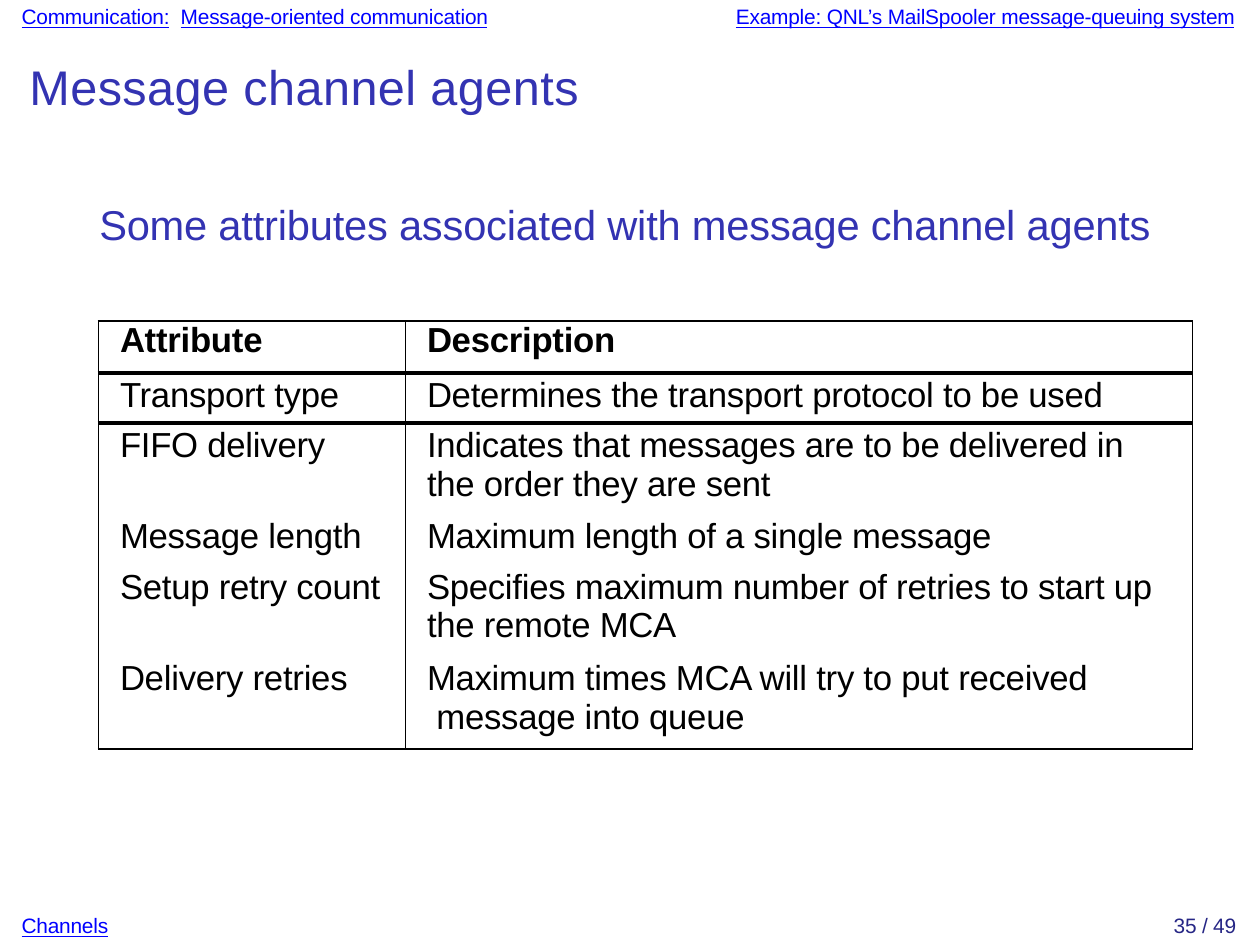
from dataclasses import dataclass

from lxml.etree import SubElement
from pptx import Presentation
from pptx.dml.color import RGBColor
from pptx.oxml.ns import qn
from pptx.util import Cm, Pt

LINK = "0000FF"
HEADING = "3333B2"
PAGE_NUMBER = "262685"
BLACK = "000000"
NO_STYLE = "{2D5ABB26-0587-4C30-8999-92F81FD0307C}"


@dataclass
class Span:
    text: str
    size: float = 6
    color: str = LINK
    underline: bool = False
    bold: bool = False
    spacing: float = -0.05


@dataclass
class Line:
    spans: list[Span]
    before: float = 0.9
    indent: float = 0


@dataclass
class Box:
    left: float
    top: float
    width: float
    height: float
    lines: list[Line]


def link(text: str) -> Span:
    return Span(text, underline=True)


BOXES = [
    Box(0.19, 0.01, 4.88, 0.33, [Line([
        link("Communication:"),
        Span(" ", color=HEADING, spacing=1.6),
        link("Message-oriented communication"),
    ])]),
    Box(7.45, 0.01, 5.16, 0.33, [Line([
        link("Example: QNL’s MailSpooler message-queuing system"),
    ])]),
    Box(0.27, 0.55, 11.6, 2, [
        Line([Span("Message channel agents", 14, HEADING, spacing=0.1)], 1.4),
        Line([Span("Some attributes associated with message channel agents",
                   12, HEADING)], 24.1, 0.71),
    ]),
    Box(0.19, 9.25, 0.97, 0.33, [Line([link("Channels")])]),
    Box(11.9, 9.25, 0.72, 0.33, [Line([Span("35 / 49", color=PAGE_NUMBER)])]),
]

ATTRIBUTES = [
    ("Attribute", "Description"),
    ("Transport type", "Determines the transport protocol to be used"),
    ("FIFO delivery",
     "Indicates that messages are to be delivered in \vthe order they are sent"),
    ("Message length", "Maximum length of a single message"),
    ("Setup retry count",
     "Specifies maximum number of retries to start up \vthe remote MCA"),
    ("Delivery retries",
     "Maximum times MCA will try to put received\v message into queue"),
]
COLUMN_WIDTHS = [3.12, 8]
ROW_HEIGHTS = [0.53, 0.51, 0.93, 0.51, 0.93, 0.94]
SPACE_BEFORE = [0.2, 0.8, 0.5, 0.5, 0.5, 0.5]
SIDE_BORDERS = {"lnL": 0.5, "lnR": 0.5}
ROW_BORDERS = {
    0: {"lnT": 0.5, "lnB": 1.5},
    1: {"lnT": 1.5, "lnB": 1.5},
    5: {"lnB": 0.5},
}


def rgb(value: str) -> RGBColor:
    return RGBColor.from_string(value)


def set_values(target, values: dict) -> None:
    for name, value in values.items():
        setattr(target, name, value)


def format_run(run, span: Span) -> None:
    set_values(run.font, {
        "name": "Arial",
        "size": Pt(span.size),
        "bold": span.bold,
        "underline": span.underline,
    })
    run.font.color.rgb = rgb(span.color)
    run._r.get_or_add_rPr().set("spc", str(round(span.spacing * 100)))


def fill_paragraph(para, line: Line) -> None:
    para.space_before = Pt(line.before)
    if line.indent:
        para._p.get_or_add_pPr().set("marL", str(Cm(line.indent)))
    for span in line.spans:
        run = para.add_run()
        run.text = span.text
        format_run(run, span)


def draw_box(page, box: Box) -> None:
    frame = page.shapes.add_textbox(
        Cm(box.left), Cm(box.top), Cm(box.width), Cm(box.height)).text_frame
    set_values(frame, {
        "word_wrap": True,
        "margin_left": Cm(0.03),
        "margin_top": Cm(0.03),
        "margin_right": 0,
        "margin_bottom": 0,
    })
    for index, line in enumerate(box.lines):
        para = frame.add_paragraph() if index else frame.paragraphs[0]
        fill_paragraph(para, line)


def draw_borders(cell, borders: dict[str, float]) -> None:
    properties = cell._tc.get_or_add_tcPr()
    for side, width in borders.items():
        border = SubElement(properties, qn(f"a:{side}"), w=str(Pt(width)))
        fill = SubElement(border, qn("a:solidFill"))
        SubElement(fill, qn("a:srgbClr"), val=BLACK)


def fill_cell(cell, text: str, row: int) -> None:
    draw_borders(cell, SIDE_BORDERS | ROW_BORDERS.get(row, {}))
    cell.fill.background()
    set_values(cell, {
        "margin_left": Cm(0.22),
        "margin_top": Cm(0.03 if row else 0),
        "margin_right": 0,
        "margin_bottom": 0,
    })
    para = cell.text_frame.paragraphs[0]
    para.text = text
    para.space_before = Pt(SPACE_BEFORE[row])
    for run in para.runs:
        format_run(run, Span(run.text, 10, BLACK, bold=row == 0))


def draw_attributes(page) -> None:
    table = page.shapes.add_table(
        len(ATTRIBUTES), len(COLUMN_WIDTHS), Cm(1), Cm(3.26),
        Cm(sum(COLUMN_WIDTHS)), Cm(sum(ROW_HEIGHTS))).table
    set_values(table, {"first_row": False, "horz_banding": False})
    table._tbl.tblPr.find(qn("a:tableStyleId")).text = NO_STYLE
    for column, width in zip(table.columns, COLUMN_WIDTHS):
        column.width = Cm(width)
    for row, height in zip(table.rows, ROW_HEIGHTS):
        row.height = Cm(height)
    for row, texts in enumerate(ATTRIBUTES):
        for column, text in enumerate(texts):
            fill_cell(table.cell(row, column), text, row)


def main() -> None:
    deck = Presentation()
    set_values(deck, {"slide_width": Pt(363), "slide_height": Pt(272.5)})
    page = deck.slides.add_slide(deck.slide_layouts[6])
    for box in BOXES:
        draw_box(page, box)
    draw_attributes(page)
    deck.save("out.pptx")


if __name__ == "__main__":
    main()
